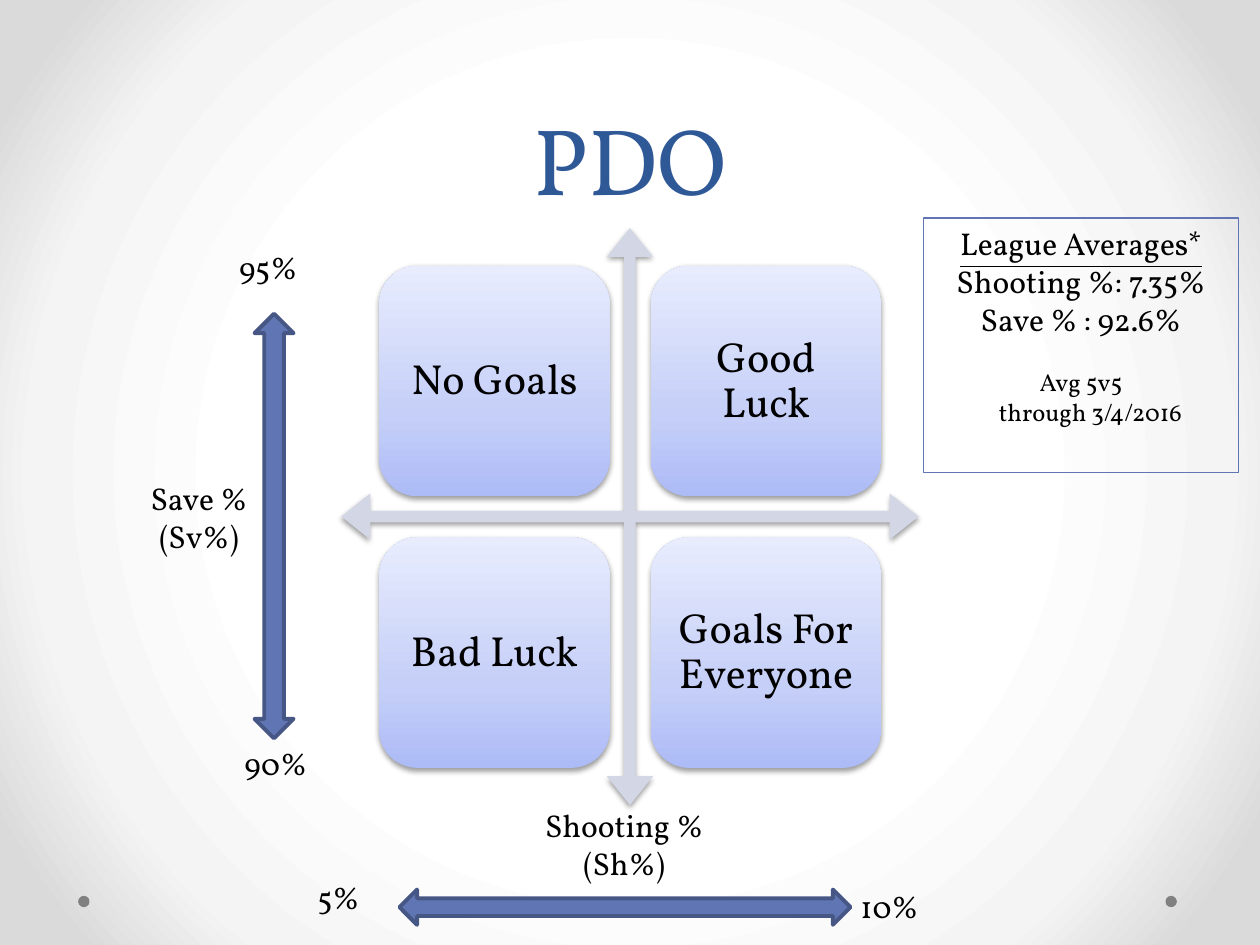
from lxml import etree
from pptx import Presentation
from pptx.dml.color import RGBColor
from pptx.enum.shapes import MSO_SHAPE
from pptx.enum.text import MSO_ANCHOR, MSO_AUTO_SIZE, PP_ALIGN
from pptx.oxml import parse_xml
from pptx.oxml.ns import nsdecls, qn
from pptx.util import Inches, Pt

LEFT, CENTER = PP_ALIGN.LEFT, PP_ALIGN.CENTER
TOP, MIDDLE, BOTTOM = MSO_ANCHOR.TOP, MSO_ANCHOR.MIDDLE, MSO_ANCHOR.BOTTOM
NO_AUTOFIT = MSO_AUTO_SIZE.NONE
ELLIPSE, RECTANGLE = MSO_SHAPE.OVAL, MSO_SHAPE.RECTANGLE
ROUNDED, QUAD_ARROW = MSO_SHAPE.ROUNDED_RECTANGLE, MSO_SHAPE.QUAD_ARROW
UP_DOWN, LEFT_RIGHT = MSO_SHAPE.UP_DOWN_ARROW, MSO_SHAPE.LEFT_RIGHT_ARROW

FONT = "Vollkorn"
BACKDROP_STOPS = [(50, "FFFFFF"), (76, "F4F4F4"), (92, "DADADA")]
BACKDROP_PATH = ('<a:path path="circle"><a:fillToRect l="50000" t="50000" '
                 'r="50000" b="50000"/></a:path>')
QUADRANT_STOPS = [(0, "ADBBF6"), (35, "C5CFF8"), (100, "E8ECFD")]
UPWARD = '<a:lin ang="16200000" scaled="0"/>'

DOTS = [(9.25, 7.11, 0.09, 0.09), (0.62, 7.11, 0.09, 0.09)]
QUADRANTS = [["No Goals", "Good Luck"], ["Bad Luck", "Goals For Everyone"]]
QUADRANT_SIZE, QUADRANT_PITCH = 1.83, 2.155
QUADRANT_LEFT, QUADRANT_TOP = 3.01, 2.11
AXIS_LABELS = [
    (["Save %", "(Sv%)"], (1.08, 3.75, 1, 0.71), CENTER),
    (["Shooting %", "(Sh%)"], (4.04, 6.35, 1.83, 0.71), CENTER),
    (["90%"], (1.84, 5.86, 0.75, 0.4), LEFT),
    (["95%"], (1.8, 1.92, 0.83, 0.4), LEFT),
    (["5%"], (2.42, 6.92, 0.75, 0.4), LEFT),
    (["10%"], (6.73, 6.99, 0.83, 0.4), LEFT),
]
SCALES = [(UP_DOWN, (2.02, 2.49, 0.31, 3.37)),
          (LEFT_RIGHT, (3.17, 7.06, 3.58, 0.28))]
AVERAGES_HEADING = "League Averages*"
AVERAGES = ["Shooting %: 7.35%", "Save % : 92.6%"]
AVERAGES_SCOPE, AVERAGES_DATE = "Avg 5v5", "through 3/4/2016"


def color(value):
    return RGBColor.from_string(value)


def gradient(stops, direction):
    marks = "".join(f'<a:gs pos="{pos * 1000}"><a:srgbClr val="{value}"/></a:gs>'
                    for pos, value in stops)
    return parse_xml(f'<a:gradFill {nsdecls("a")} rotWithShape="1">'
                     f'<a:gsLst>{marks}</a:gsLst>{direction}</a:gradFill>')


def add_run(paragraph, text, size=18, value="000000"):
    run = paragraph.add_run()
    run.text = text
    run.font.name = FONT
    run.font.size = Pt(size)
    run.font.color.rgb = color(value)
    return run


def add_shape(slide, kind, box, fill=None, line=None, width=0.75):
    shape = slide.shapes.add_shape(kind, *map(Inches, box))
    shape.shadow.inherit = False
    if fill:
        shape.fill.solid()
        shape.fill.fore_color.rgb = color(fill)
    else:
        shape.fill.background()
    if line:
        shape.line.color.rgb = color(line)
        shape.line.width = Pt(width)
    else:
        shape.line.fill.background()
    return shape


def add_shadow(shape):
    effects = shape._element.spPr.find(qn("a:effectLst"))
    shadow = etree.SubElement(effects, qn("a:outerShdw"), blurRad="40000",
                              dist="20000", dir="5400000", rotWithShape="0")
    black = etree.SubElement(shadow, qn("a:srgbClr"), val="000000")
    etree.SubElement(black, qn("a:alpha"), val="38000")


def set_backdrop(slide):
    background = parse_xml(f'<p:bg {nsdecls("p", "a")}><p:bgPr><a:effectLst/></p:bgPr></p:bg>')
    background[0].insert(0, gradient(BACKDROP_STOPS, BACKDROP_PATH))
    slide._element.cSld.insert(0, background)


def add_title(slide):
    title = slide.shapes.title
    title.left, title.top, title.width, title.height = map(Inches, (0.5, 0, 9, 1.75))
    frame = title.text_frame
    frame.auto_size = NO_AUTOFIT
    frame.vertical_anchor = BOTTOM
    paragraph = frame.paragraphs[0]
    paragraph.alignment = CENTER
    paragraph.line_spacing = Pt(58)
    add_run(paragraph, "PDO", 54, "2F5897")


def add_quadrant(slide, row, column, label):
    box = (QUADRANT_LEFT + column * QUADRANT_PITCH, QUADRANT_TOP + row * QUADRANT_PITCH,
           QUADRANT_SIZE, QUADRANT_SIZE)
    quadrant = add_shape(slide, ROUNDED, box)
    properties = quadrant._element.spPr
    properties.replace(properties.find(qn("a:noFill")), gradient(QUADRANT_STOPS, UPWARD))
    add_shadow(quadrant)
    frame = quadrant.text_frame
    frame.word_wrap = True
    frame.vertical_anchor = MIDDLE
    frame.margin_left = frame.margin_right = Inches(0.1)
    frame.margin_top = frame.margin_bottom = Inches(0.1)
    paragraph = frame.paragraphs[0]
    paragraph.alignment = CENTER
    paragraph.line_spacing = 0.9
    add_run(paragraph, label, 24)


def add_label(slide, lines, box, alignment):
    frame = slide.shapes.add_textbox(*map(Inches, box)).text_frame
    frame.word_wrap = True
    for index, line in enumerate(lines):
        paragraph = frame.add_paragraph() if index else frame.paragraphs[0]
        paragraph.alignment = alignment
        add_run(paragraph, line)


def add_averages(slide):
    panel = add_shape(slide, RECTANGLE, (7.33, 1.73, 2.5, 2.02), line="6076B4")
    frame = panel.text_frame
    frame.word_wrap = True
    frame.vertical_anchor = TOP
    heading = frame.paragraphs[0]
    heading.alignment = CENTER
    add_run(heading, AVERAGES_HEADING).font.underline = True
    figures = frame.add_paragraph()
    figures.alignment = CENTER
    for index, figure in enumerate(AVERAGES):
        if index:
            figures.add_line_break()
        add_run(figures, figure)
    scope = frame.add_paragraph()
    scope.alignment = CENTER
    scope.space_before = Pt(17)
    add_run(scope, AVERAGES_SCOPE, 14)
    date = frame.add_paragraph()
    date.alignment = LEFT
    date.level = 1
    date._p.get_or_add_pPr().set("marL", str(Inches(0.5)))
    add_run(date, AVERAGES_DATE, 14)


def main():
    deck = Presentation()
    deck.slide_width, deck.slide_height = Inches(10), Inches(7.5)
    slide = deck.slides.add_slide(deck.slide_layouts[5])
    set_backdrop(slide)
    for dot in DOTS:
        add_shape(slide, ELLIPSE, dot, "808080")
    add_title(slide)
    axes = add_shape(slide, QUAD_ARROW, (2.71, 1.81, 4.58, 4.58), "D2D6E5")
    for index, ratio in enumerate((0.02, 0.04, 0.05)):
        axes.adjustments[index] = ratio
    add_shadow(axes)
    for row, labels in enumerate(QUADRANTS):
        for column, label in enumerate(labels):
            add_quadrant(slide, row, column, label)
    for lines, box, alignment in AXIS_LABELS:
        add_label(slide, lines, box, alignment)
    for kind, box in SCALES:
        add_shape(slide, kind, box, "6076B4", "475785", 2.25)
    add_averages(slide)
    deck.save("out.pptx")


if __name__ == "__main__":
    main()
